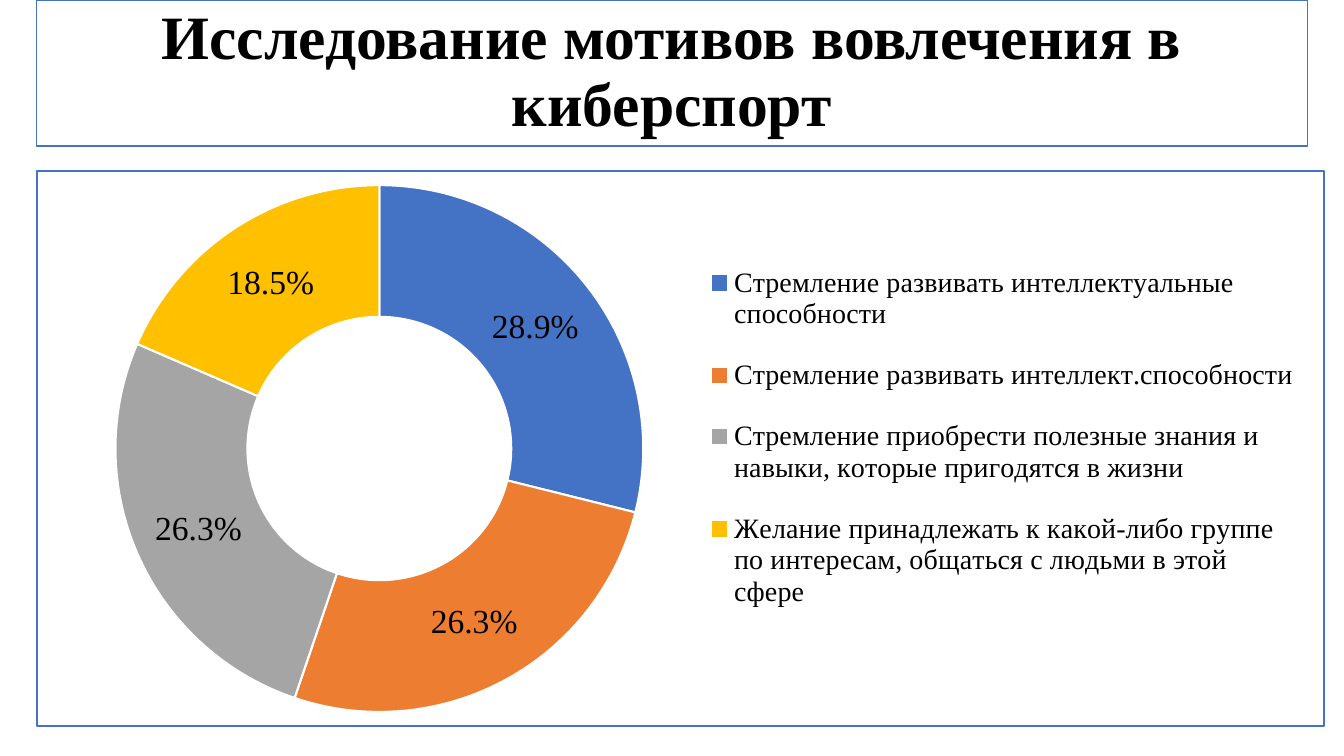
"""Build a slide with a boxed title and a doughnut chart of motives for joining esports."""
import pptx
import pptx.chart.data
import pptx.dml.color
import pptx.enum.chart
import pptx.enum.text
import pptx.oxml
import pptx.oxml.ns
import pptx.util

TITLE = "Исследование мотивов вовлечения в киберспорт"
MOTIVES = [
    ("Стремление развивать интеллектуальные способности", 28.9, "4472C4"),
    ("Стремление развивать интеллект.способности", 26.3, "ED7D31"),
    ("Стремление приобрести полезные знания и навыки, которые пригодятся в жизни", 26.3, "A5A5A5"),
    ("Желание принадлежать к какой-либо группе по интересам, общаться с людьми в этой сфере", 18.5, "FFC000"),
]
FACE, INK, PAPER, EDGE = "Times New Roman", "000000", "FFFFFF", "4472C4"
WIDE, HIGH = 13.33, 7.5
LEFT = 0.36
HEAD = (LEFT, 0, 12.61, 1.45)
BODY = (LEFT, 1.69, 12.78, 5.52)
RING = (6.1, 2.5, 41, 95)
KEY = (52.25, 12, 45.5, 72)
SPACE = pptx.oxml.ns.nsdecls("c", "a")


def tint(code):
    """Turn a hex string into a colour."""
    return pptx.dml.color.RGBColor.from_string(code)


def put(thing, values):
    """Set each named value on an object."""
    for name, value in values.items():
        setattr(thing, name, value)


def style(font, size, bold=False):
    """Format a font in the slide's face and ink."""
    put(font, {"name": FACE, "size": pptx.util.Pt(size), "bold": bold})
    font.color.rgb = tint(INK)


def paint(part, fill, line, width):
    """Fill and outline a shape or a chart point."""
    part.fill.solid()
    part.fill.fore_color.rgb = tint(fill)
    part.line.color.rgb = tint(line)
    part.line.width = pptx.util.Pt(width)


def layout(box, inner=""):
    """Make a manual layout from percentages of the chart's size."""
    modes = "".join(f'<c:{side}Mode val="edge"/>' for side in "xy")
    sizes = "".join(f'<c:{side} val="{share / 100}"/>' for side, share in zip("xywh", box))
    return pptx.oxml.parse_xml(
        f"<c:layout {SPACE}><c:manualLayout>{inner}{modes}{sizes}</c:manualLayout></c:layout>")


def place(parent, spot, part):
    """Put a part at the given child index in place of any of its kind."""
    for old in parent.findall(part.tag):
        parent.remove(old)
    parent.insert(spot, part)


def add_title(slide):
    """Move and format the title."""
    title = slide.shapes.title
    sides = map(pptx.util.Inches, HEAD)
    put(title, dict(zip(("left", "top", "width", "height"), sides)))
    paint(title, PAPER, EDGE, 1)
    frame = title.text_frame
    put(frame, {"text": TITLE, "word_wrap": True,
                "vertical_anchor": pptx.enum.text.MSO_ANCHOR.MIDDLE,
                "auto_size": pptx.enum.text.MSO_AUTO_SIZE.NONE})
    line = frame.paragraphs[0]
    put(line, {"alignment": pptx.enum.text.PP_ALIGN.CENTER, "line_spacing": 0.9})
    style(line.runs[0].font, 44, True)


def add_ring(slide):
    """Add the doughnut chart with its labels, legend and border."""
    names, shares, hues = zip(*MOTIVES)
    data = pptx.chart.data.CategoryChartData()
    data.categories = names
    data.add_series("Series 1", shares)
    kind = pptx.enum.chart.XL_CHART_TYPE.DOUGHNUT
    chart = slide.shapes.add_chart(kind, *map(pptx.util.Inches, BODY), data).chart
    put(chart, {"has_title": False, "has_legend": True})
    style(chart.font, 24)
    put(chart.legend, {"position": pptx.enum.chart.XL_LEGEND_POSITION.RIGHT,
                       "include_in_layout": False})
    style(chart.legend.font, 20)

    plot = chart.plots[0]
    put(plot, {"vary_by_categories": True, "has_data_labels": True})
    put(plot.data_labels, {"show_value": True, "show_percentage": False,
                           "number_format": '0.0"%"', "number_format_is_linked": False})
    style(plot.data_labels.font, 24)
    for spot, hue in enumerate(hues):
        paint(plot.series[0].points[spot].format, hue, PAPER, 1.5)

    space = chart.element
    root = space.find(pptx.oxml.ns.qn("c:chart"))
    area, key = (root.find(pptx.oxml.ns.qn(tag)) for tag in ("c:plotArea", "c:legend"))
    place(area, 0, layout(RING, '<c:layoutTarget val="inner"/>'))
    place(key, 1, layout(KEY))
    solid = '<a:solidFill><a:srgbClr val="{}"/></a:solidFill>'
    root.addnext(pptx.oxml.parse_xml(
        f"<c:spPr {SPACE}>{solid.format(PAPER)}"
        f'<a:ln w="{pptx.util.Pt(1)}">{solid.format(EDGE)}</a:ln></c:spPr>'))
    first = 1 if space.find(pptx.oxml.ns.qn("c:date1904")) is not None else 0
    place(space, first, pptx.oxml.parse_xml(f'<c:roundedCorners {SPACE} val="0"/>'))


def main():
    """Build and save the slide."""
    deck = pptx.Presentation()
    put(deck, {"slide_width": pptx.util.Inches(WIDE), "slide_height": pptx.util.Inches(HIGH)})
    slide = deck.slides.add_slide(deck.slide_layouts[5])
    add_title(slide)
    add_ring(slide)
    deck.save("out.pptx")


if __name__ == "__main__":
    main()
